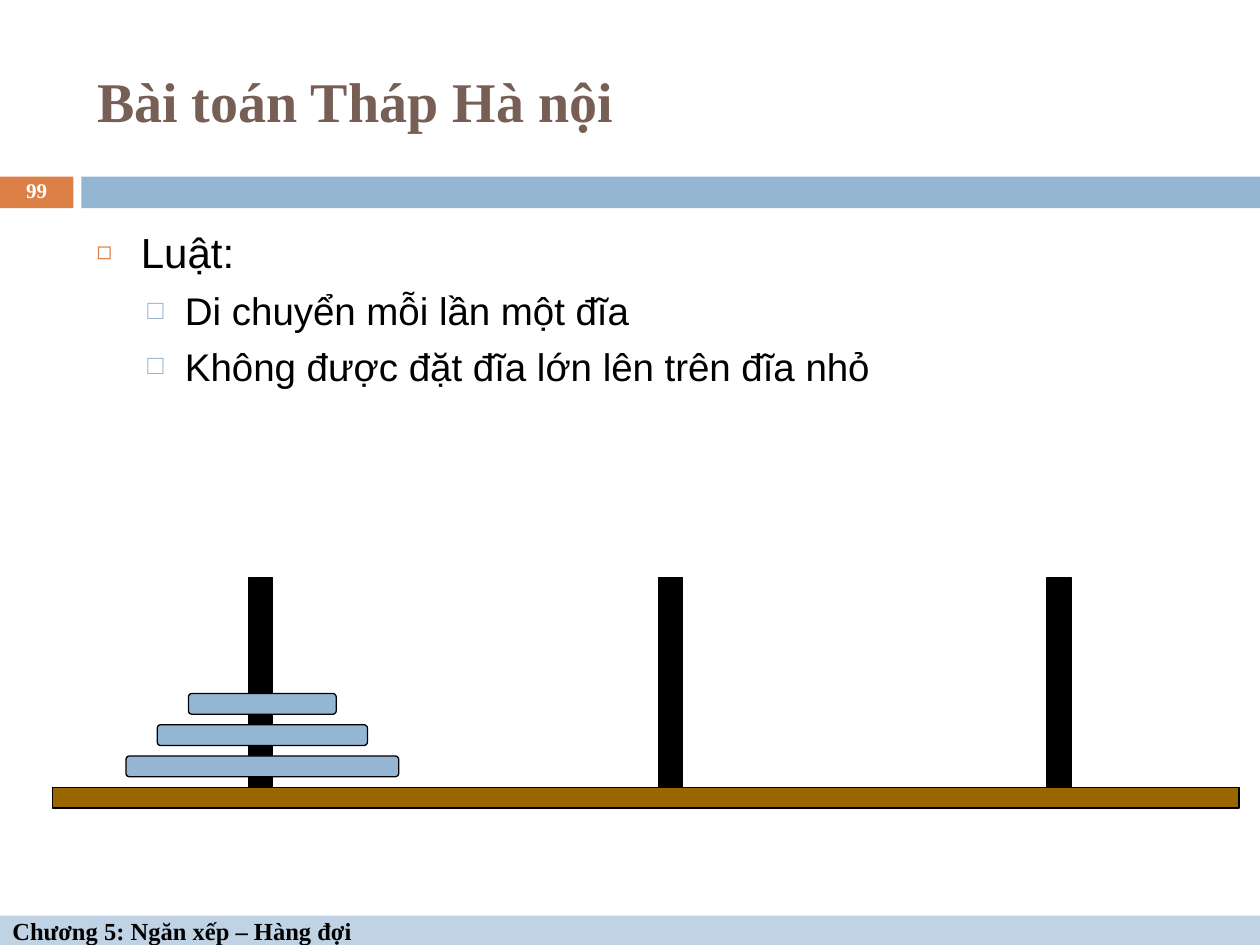
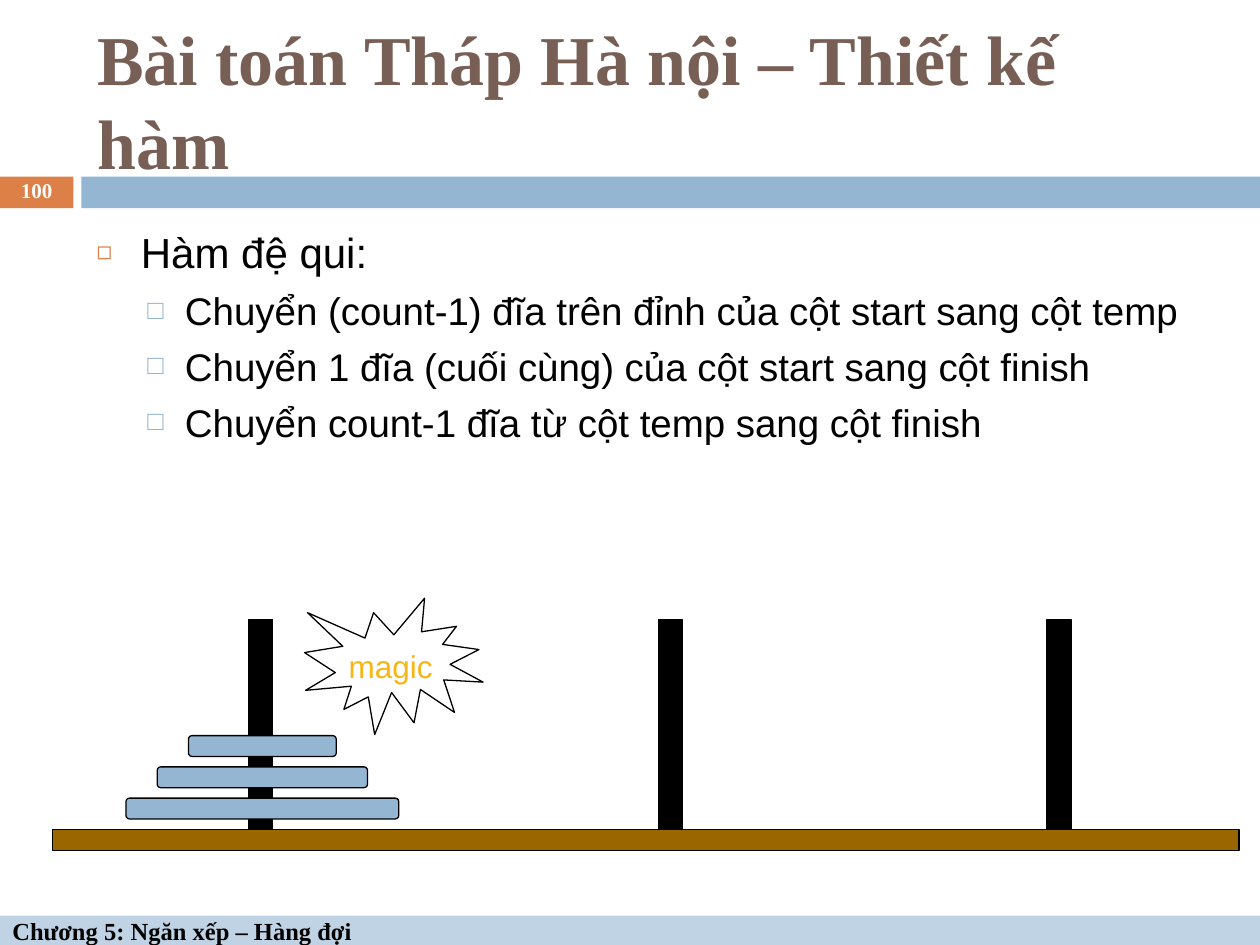
from dataclasses import dataclass

from lxml.etree import SubElement
from pptx import Presentation
from pptx.dml.color import RGBColor
from pptx.enum.shapes import MSO_SHAPE as Preset
from pptx.enum.text import MSO_ANCHOR as Anchor, PP_ALIGN as Align
from pptx.oxml.ns import qn
from pptx.util import Cm, Pt

BLACK = RGBColor(0x00, 0x00, 0x00)
WHITE = RGBColor(0xFF, 0xFF, 0xFF)
BROWN = RGBColor(0x77, 0x5F, 0x55)
ORANGE = RGBColor(0xDD, 0x80, 0x47)
BLUE = RGBColor(0x94, 0xB6, 0xD2)
PALE_BLUE = RGBColor(0xBF, 0xD3, 0xE4)
WOOD = RGBColor(0x99, 0x66, 0x00)
GOLD = RGBColor(0xF7, 0xB6, 0x15)

SERIF = "Times New Roman"
SANS = "Arial"
FOOTER = "Chương 5: Ngăn xếp – Hàng đợi"

POLE_LEFTS = (5.02, 13.28, 21.11)
POLE_WIDTH = 0.48
POLE_HEIGHT = 4.23
DISK_COUNT = 3
DISK_STEP = 0.63
THICKNESS = 0.42


@dataclass(frozen=True)
class Area:
    """A rectangle in centimetres."""
    left: float
    top: float
    width: float
    height: float

    def lengths(self) -> tuple:
        return Cm(self.left), Cm(self.top), Cm(self.width), Cm(self.height)


@dataclass(frozen=True)
class BulletStyle:
    symbol: str
    color: RGBColor
    percent: int
    text_size: float
    indent: float
    hanging: float
    space_before: float


@dataclass(frozen=True)
class Lesson:
    title: str
    title_size: int
    number: int
    heading: str
    points: tuple[str, ...]
    ground_top: float
    magic: bool = False


HEADING = BulletStyle("◻", ORANGE, 60, 24, 0.89, 0.89, 0)
POINT = BulletStyle("□", BLUE, 70, 22, 1.78, 0.76, 5.5)

TITLE_AREA = Area(1.71, 0.64, 22.66, 2.74)
NUMBER_AREA = Area(0, 3.53, 1.48, 0.69)
BODY_AREA = Area(1.7, 4.45, 22.66, 12.5)
NUMBER_BAND = Area(0, 3.56, 1.48, 0.64)
TITLE_BAND = Area(1.64, 3.56, 23.76, 0.64)
FOOTER_BAND = Area(0, 18.46, 25.4, 0.59)
MAGIC_TEXT = Area(6.78, 12.92, 2.8, 1.02)
MAGIC_BURST = Area(6.14, 12.06, 3.6, 2.75)

LESSONS = (
    Lesson(
        "Bài toán Tháp Hà nội", 32, 99, "Luật:",
        ("Di chuyển mỗi lần một đĩa",
         "Không được đặt đĩa lớn lên trên đĩa nhỏ"),
        ground_top=15.87,
    ),
    Lesson(
        "Bài toán Tháp Hà nội – Thiết kế hàm", 40, 100, "Hàm đệ qui:",
        ("Chuyển (count-1) đĩa trên đỉnh của cột start sang cột temp",
         "Chuyển 1 đĩa (cuối cùng) của cột start sang cột finish",
         "Chuyển count-1 đĩa từ cột temp sang cột finish"),
        ground_top=16.72, magic=True,
    ),
)


def add_shape(page, preset: Preset, area: Area, fill: RGBColor | None = None,
              outlined: bool = True):
    shape = page.shapes.add_shape(preset, *area.lengths())
    shape.shadow.inherit = False
    if fill is None:
        shape.fill.background()
    else:
        shape.fill.solid()
        shape.fill.fore_color.rgb = fill
    if outlined:
        shape.line.color.rgb = BLACK
        shape.line.width = Pt(0.75)
    else:
        shape.line.fill.background()
    return shape


def add_box(page, area: Area, anchor: Anchor = Anchor.TOP):
    box = page.shapes.add_textbox(*area.lengths())
    box.text_frame.word_wrap = True
    box.text_frame.vertical_anchor = anchor
    return box


def write(para, text: str, *, size: float, color: RGBColor = BLACK,
          font: str = SERIF, bold: bool = False, align: Align = Align.LEFT,
          line_spacing: float | None = None) -> None:
    para.alignment = align
    para.line_spacing = line_spacing
    span = para.add_run()
    span.text = text
    span.font.size = Pt(size)
    span.font.color.rgb = color
    span.font.name = font
    span.font.bold = bold


def add_bullet(para, style: BulletStyle) -> None:
    properties = para._p.get_or_add_pPr()
    properties.set("marL", str(Cm(style.indent)))
    properties.set("indent", str(-Cm(style.hanging)))
    color = SubElement(properties, qn("a:buClr"))
    SubElement(color, qn("a:srgbClr"), val=str(style.color))
    SubElement(properties, qn("a:buSzPct"), val=str(style.percent * 1000))
    SubElement(properties, qn("a:buFont"), typeface=SERIF)
    SubElement(properties, qn("a:buChar"), char=style.symbol)
    if style.space_before:
        para.space_before = Pt(style.space_before)


def add_frame(page, lesson: Lesson) -> None:
    """Draw the bands, footer, title and page number."""
    add_shape(page, Preset.RECTANGLE, NUMBER_BAND, ORANGE, outlined=False)
    add_shape(page, Preset.RECTANGLE, TITLE_BAND, BLUE, outlined=False)
    footer = add_shape(page, Preset.RECTANGLE, FOOTER_BAND, PALE_BLUE, outlined=False)
    write(footer.text_frame.paragraphs[0], FOOTER, size=14, bold=True)

    title = add_box(page, TITLE_AREA, Anchor.MIDDLE)
    write(title.text_frame.paragraphs[0], lesson.title,
          size=lesson.title_size, color=BROWN, bold=True)
    number = add_box(page, NUMBER_AREA, Anchor.MIDDLE)
    write(number.text_frame.paragraphs[0], str(lesson.number), size=12,
          color=WHITE, bold=True, align=Align.CENTER, line_spacing=0.8)


def add_body(page, lesson: Lesson) -> None:
    frame = add_box(page, BODY_AREA).text_frame
    para = frame.paragraphs[0]
    add_bullet(para, HEADING)
    write(para, lesson.heading, size=HEADING.text_size, font=SANS)
    for point in lesson.points:
        para = frame.add_paragraph()
        para.level = 1
        add_bullet(para, POINT)
        write(para, point, size=POINT.text_size, font=SANS)


def add_towers(page, ground_top: float) -> None:
    """Draw the ground, three poles and the disks on the first pole."""
    add_shape(page, Preset.RECTANGLE, Area(1.06, ground_top, 23.92, THICKNESS), WOOD)
    for left in POLE_LEFTS:
        pole = Area(left, ground_top - POLE_HEIGHT, POLE_WIDTH, POLE_HEIGHT)
        add_shape(page, Preset.RECTANGLE, pole, BLACK)
    centre = POLE_LEFTS[0] + POLE_WIDTH / 2 + 0.03
    for level in range(DISK_COUNT):
        width = 5.5 - 2 * DISK_STEP * level
        top = ground_top - DISK_STEP * (level + 1)
        disk = add_shape(page, Preset.ROUNDED_RECTANGLE,
                         Area(centre - width / 2, top, width, THICKNESS), BLUE)
        disk.adjustments[0] = 0.17


def add_magic(page) -> None:
    label = add_box(page, MAGIC_TEXT)
    write(label.text_frame.paragraphs[0], "magic", size=18, color=GOLD, font=SANS)
    add_shape(page, Preset.EXPLOSION1, MAGIC_BURST)


def main() -> None:
    deck = Presentation()
    deck.slide_width, deck.slide_height = Cm(25.4), Cm(19.05)
    for lesson in LESSONS:
        page = deck.slides.add_slide(deck.slide_layouts[6])
        add_frame(page, lesson)
        add_body(page, lesson)
        add_towers(page, lesson.ground_top)
        if lesson.magic:
            add_magic(page)
    deck.save("out.pptx")


if __name__ == "__main__":
    main()
